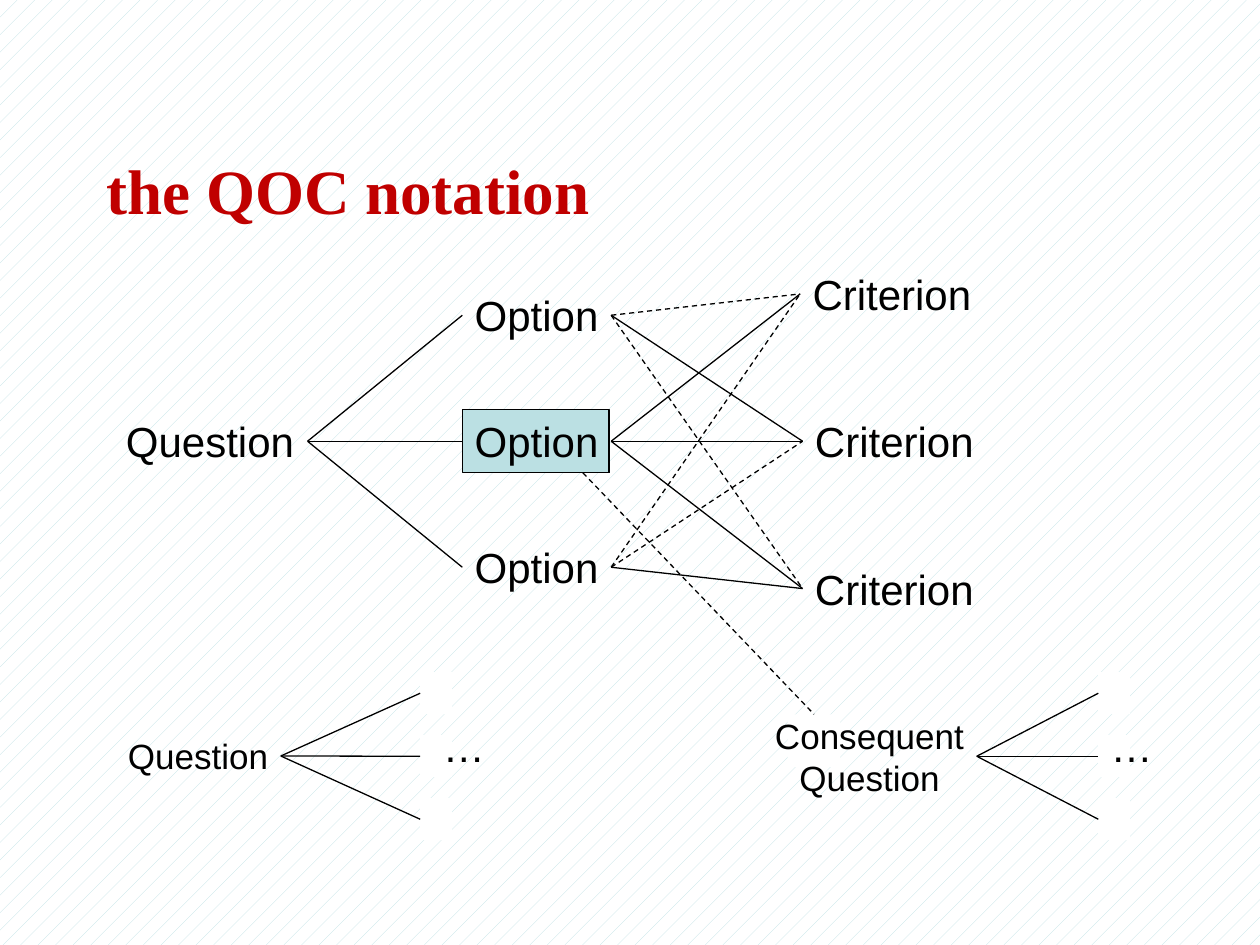
from pptx import Presentation
from pptx.dml.color import RGBColor
from pptx.enum.dml import MSO_LINE, MSO_PATTERN
from pptx.enum.shapes import MSO_CONNECTOR, MSO_SHAPE
from pptx.enum.text import MSO_ANCHOR, MSO_AUTO_SIZE, PP_ALIGN
from pptx.oxml.ns import qn
from pptx.util import Cm, Pt
from lxml import etree

STRAIGHT = MSO_CONNECTOR.STRAIGHT
RECTANGLE = MSO_SHAPE.RECTANGLE
DASH = MSO_LINE.DASH
DOTTED_PATTERN = MSO_PATTERN.PERCENT_5
MIDDLE = MSO_ANCHOR.MIDDLE
TOP_ANCHOR = MSO_ANCHOR.TOP
GROW = MSO_AUTO_SIZE.SHAPE_TO_FIT_TEXT
FIXED = MSO_AUTO_SIZE.NONE
LEFT_ALIGN = PP_ALIGN.LEFT
CENTER = PP_ALIGN.CENTER
TOP, LEFT, BOTTOM, RIGHT = range(4)
BLACK, WHITE, AQUA, RED = "000000", "FFFFFF", "BBE0E3", "C00000"


def color(value):
    return RGBColor.from_string(value)


def add_text(text, left, top, width, height, size=24, font="Arial", ink=BLACK,
             bold=False, align=LEFT_ALIGN, anchor=TOP_ANCHOR, wrap=False):
    box = page.shapes.add_textbox(Cm(left), Cm(top), Cm(width), Cm(height))
    frame = box.text_frame
    frame.word_wrap = wrap
    frame.auto_size = FIXED if wrap else GROW
    frame.vertical_anchor = anchor
    para = frame.paragraphs[0]
    para.text = text
    para.alignment = align
    for span in para.runs:
        span.font.name = font
        span.font.size = Pt(size)
        span.font.bold = bold
        span.font.color.rgb = color(ink)
    return box


deck = Presentation()
deck.slide_width = Cm(25.4)
deck.slide_height = Cm(19.05)
page = deck.slides.add_slide(deck.slide_layouts[6])
backdrop = page.background.fill
backdrop.patterned()
backdrop.pattern = DOTTED_PATTERN
backdrop.fore_color.rgb = color(AQUA)
backdrop.back_color.rgb = color(WHITE)

rectangles = []
for left, top, width, height, fill, outlined in [
    (15.88, 14.4, 1.06, 1.06, WHITE, False),
    (11.22, 8.68, 1.06, 0.85, AQUA, True),
    (9.32, 8.26, 2.96, 1.27, AQUA, True),
] + [
    (left, 13.55 + 1.27 * row, 0.64, 0.85, WHITE, False)
    for left in (8.47, 22.14) for row in range(3)
]:
    rectangle = page.shapes.add_shape(
        RECTANGLE, Cm(left), Cm(top), Cm(width), Cm(height))
    rectangle.shadow.inherit = False
    rectangle.fill.solid()
    rectangle.fill.fore_color.rgb = color(fill)
    if outlined:
        rectangle.line.color.rgb = color(BLACK)
        rectangle.line.width = Pt(0.75)
    else:
        rectangle.line.fill.background()
    rectangles.append(rectangle)
consequent_anchor, option_anchor, chosen_option, *branch_ends = rectangles

add_text("the QOC notation", 1.9, 2.75, 19.05, 2.12, size=36,
         font="Times New Roman", ink=RED, bold=True, anchor=MIDDLE, wrap=True)
question = add_text("Question", 2.29, 8.26, 3.91, 1.27)
options = [add_text("Option", 9.32, 5.72 + 2.54 * row, 3, 1.27)
           for row in range(3)]
criteria = [add_text("Criterion", left, 5.29 + 2.97 * row, 3.71, 1.27)
            for row, left in enumerate((16.13, 16.18, 16.18))]
next_question = add_text("Question", 2.33, 14.69, 3.33, 1.1, size=20)
consequent = add_text("Consequent\vQuestion", 15.37, 14.27, 4.32, 1.95,
                      size=20, align=CENTER)
for left in (8.68, 22.14):
    add_text("…", left, 14.4, 1.34, 1.27)

links = [(question, RIGHT, option, LEFT, False) for option in options]
dashed_pairs = {(0, 0), (0, 2), (2, 0), (2, 1)}
for row, option in enumerate(options):
    for column, criterion in enumerate(criteria):
        dashed = (row, column) in dashed_pairs
        links.append((option, RIGHT, criterion, LEFT, dashed))
for source, ends in ((next_question, branch_ends[:3]),
                     (consequent, branch_ends[3:])):
    links += [(source, RIGHT, end, LEFT, False) for end in ends]
links.append((option_anchor, BOTTOM, consequent_anchor, TOP, True))

for source, source_side, target, target_side, dashed in links:
    link = page.shapes.add_connector(STRAIGHT, 0, 0, 0, 0)
    link.begin_connect(source, source_side)
    link.end_connect(target, target_side)
    link.line.color.rgb = color(BLACK)
    link.line.width = Pt(0.75)
    if dashed:
        link.line.dash_style = DASH
    etree.SubElement(link._element.spPr, qn("a:effectLst"))

deck.save("out.pptx")
